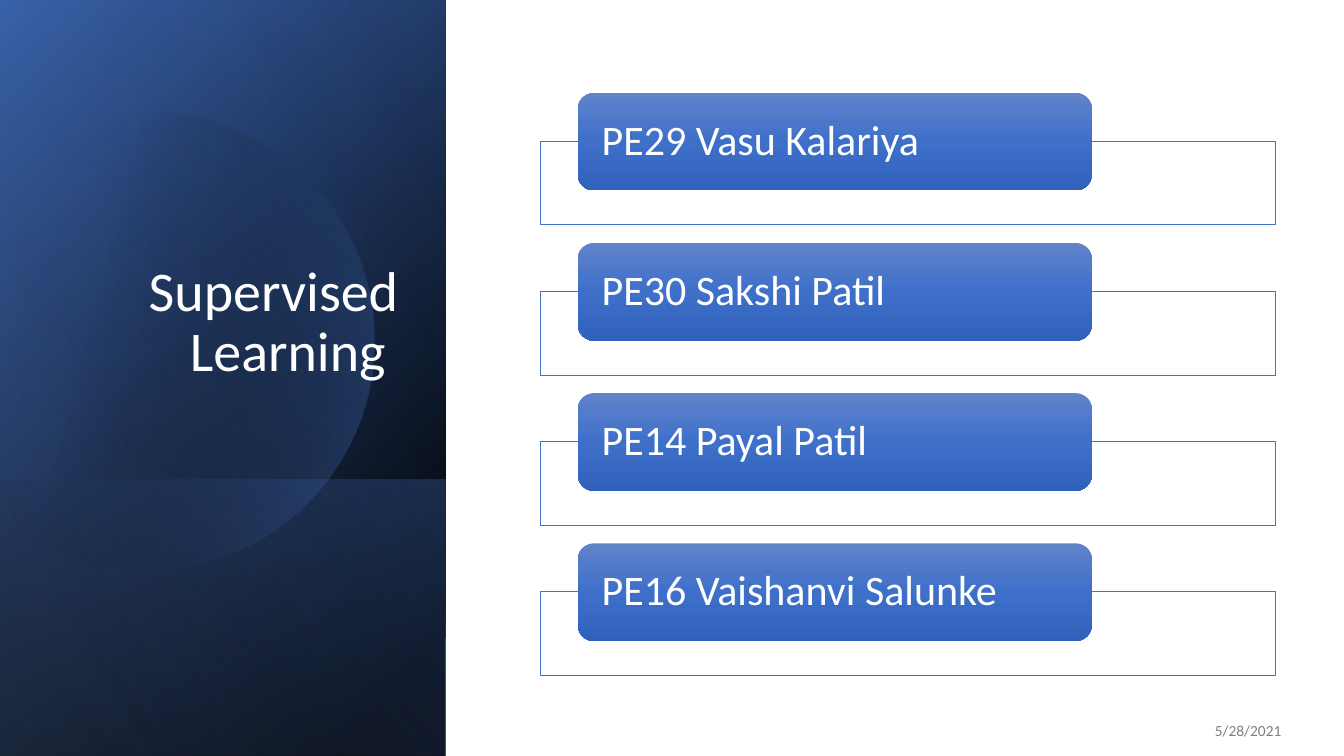
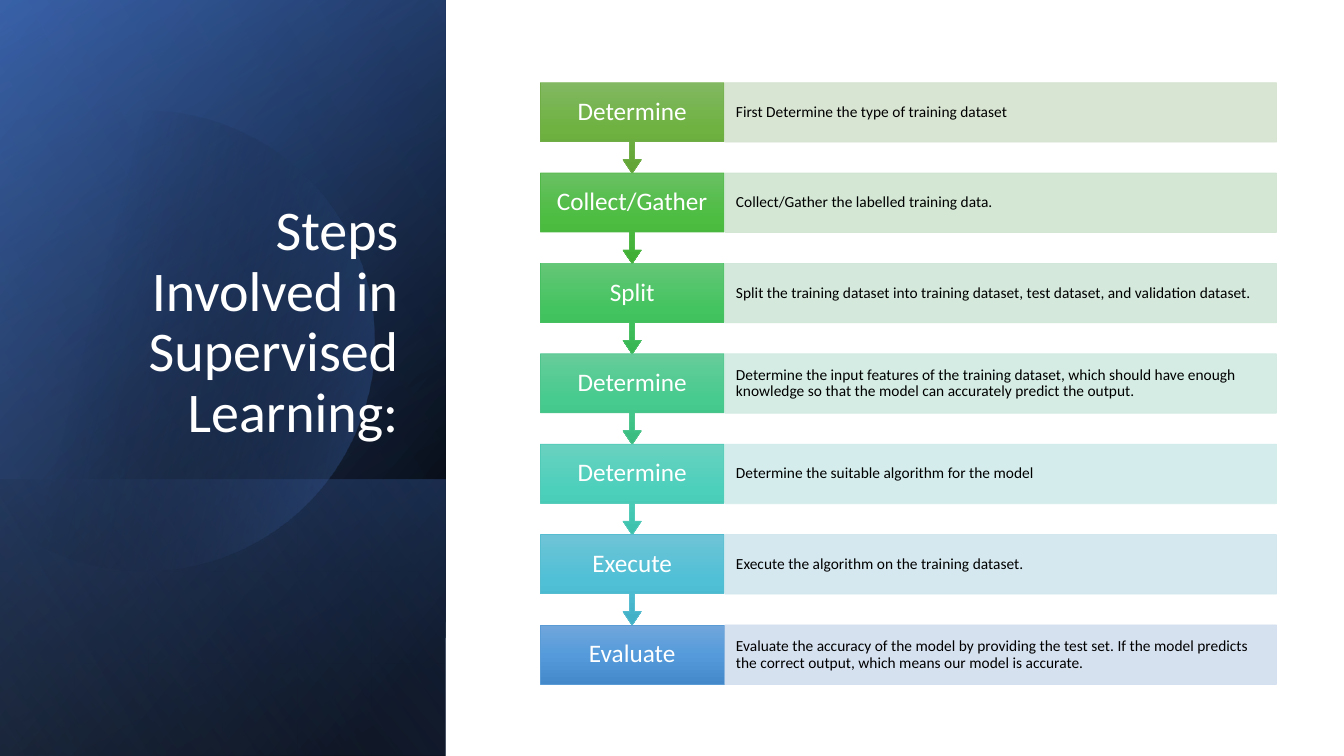
import math
from lxml import etree
from pptx import Presentation
from pptx import util as u
from pptx.dml import color
from pptx.enum import shapes, text
from pptx.oxml import ns


class Theme:
    font = "Calibri"
    black, white, grey = "000000", "FFFFFF", "808080"
    navy, blue, pale_blue = "2F5597", "4472C4", "8FAADC"
    card = ("6183CB", "3E70CA", "3062BB")
    title_size, name_size, step_size, small_size = 40, 30, 18, 11


def paint(shape, stops, angle=90, edge=None, alpha=100):
    shape.shadow.inherit = False
    if len(stops) == 1:
        shape.fill.solid()
        shape.fill.fore_color.rgb = color.RGBColor.from_string(stops[0][1])
    else:
        shape.fill.gradient()
        shape.fill.gradient_angle = 360 - angle
        stop_list = shape.element.spPr.find(".//" + ns.qn("a:gsLst"))
        stop_list[:] = []
        for position, shade, opacity in stops:
            stop = etree.SubElement(stop_list, ns.qn("a:gs"), pos=str(position * 1000))
            tint = etree.SubElement(stop, ns.qn("a:srgbClr"), val=shade)
            if opacity < 100:
                etree.SubElement(tint, ns.qn("a:alpha"), val=str(opacity * 1000))
    if edge:
        shape.line.color.rgb = color.RGBColor.from_string(edge)
        shape.line.width = u.Pt(0.5)
    else:
        shape.line.fill.background()
    if alpha < 100:
        for tint in shape.element.spPr.iter(ns.qn("a:srgbClr")):
            etree.SubElement(tint, ns.qn("a:alpha"), val=str(alpha * 1000))


def write(shape, words, size, shade, align="LEFT", anchor="MIDDLE", inset=0.1, below=0):
    frame = shape.text_frame
    frame.word_wrap = True
    frame.auto_size = text.MSO_AUTO_SIZE.NONE
    frame.vertical_anchor = text.MSO_ANCHOR[anchor]
    frame.margin_left = frame.margin_right = u.Inches(inset)
    frame.margin_top, frame.margin_bottom = 0, u.Inches(below)
    paragraph = frame.paragraphs[0]
    paragraph.alignment = text.PP_ALIGN[align]
    paragraph.line_spacing = 0.9
    run = paragraph.add_run()
    run.text = words
    run.font.name = Theme.font
    run.font.size = u.Pt(size)
    run.font.color.rgb = color.RGBColor.from_string(shade)


deck = Presentation()
deck.slide_width, deck.slide_height = u.Inches(13.33), u.Inches(7.5)

BAND_WIDTH, SLIDE_HEIGHT = 4.42, 7.5
base_layers = [
    (SLIDE_HEIGHT, 50, [(8, Theme.black, 100), (100, Theme.navy, 100)]),
    (SLIDE_HEIGHT, 30, [(0, Theme.black, 0), (99, Theme.blue, 46)]),
    (2.74, 130, [(2, Theme.blue, 29), (100, Theme.black, 30)]),
]
sheen = (SLIDE_HEIGHT, 120, [(0, Theme.black, 0), (99, Theme.pale_blue, 11)])
disc_x, disc_y, disc_radius, disc_sweep, disc_parts = 1.43, 3.38, 2.28, 128.8, 80
disc_edge = []
for part in range(disc_parts + 1):
    turn = math.radians(disc_sweep * (2 * part / disc_parts - 1))
    disc_edge.append((u.Inches(disc_x + disc_radius * math.cos(turn)),
                      u.Inches(disc_y + disc_radius * math.sin(turn))))

slides = []
for heading, below in [("Supervised Learning\u00a0", 0.65),
                       ("Steps Involved in Supervised Learning:", 0.05)]:
    slide = deck.slides.add_slide(deck.slide_layouts[5])
    slides.append(slide)
    for layer in base_layers + ["disc", sheen]:
        if layer == "disc":
            outline = slide.shapes.build_freeform(*disc_edge[0])
            outline.add_line_segments(disc_edge[1:])
            paint(outline.convert_to_shape(), [(29, Theme.black, 0), (100, Theme.blue, 43)], 14)
            continue
        length, angle, stops = layer
        band = slide.shapes.add_shape(
            shapes.MSO_SHAPE.RECTANGLE,
            u.Inches((BAND_WIDTH - length) / 2),
            u.Inches(SLIDE_HEIGHT - (length + BAND_WIDTH) / 2),
            u.Inches(length), u.Inches(BAND_WIDTH))
        band.rotation = 90
        band.element.spPr.xfrm.set("flipH", "1")
        paint(band, stops, angle)
    title = slide.shapes.title
    title.left, title.top = u.Inches(0.64), u.Inches(1.84)
    title.width, title.height = u.Inches(3.41), u.Inches(2.62)
    slide.shapes._spTree.append(title.element)
    write(title, heading, Theme.title_size, Theme.white, "RIGHT", "BOTTOM", below=below)

team, process = slides

date = team.shapes.add_textbox(u.Inches(9.81), u.Inches(7.06), u.Inches(3), u.Inches(0.4))
write(date, "5/28/2021", Theme.small_size, Theme.grey, "RIGHT")

members = ["PE29 Vasu Kalariya", "PE30 Sakshi Patil", "PE14 Payal Patil", "PE16 Vaishanvi Salunke"]
for row, member in enumerate(members):
    drop = 1.49 * row
    frame = team.shapes.add_shape(shapes.MSO_SHAPE.RECTANGLE, u.Inches(5.36), u.Inches(1.4 + drop),
                                  u.Inches(7.29), u.Inches(0.83))
    paint(frame, [(0, Theme.white, 100)], edge=Theme.blue)
    card = team.shapes.add_shape(shapes.MSO_SHAPE.ROUNDED_RECTANGLE, u.Inches(5.73),
                                 u.Inches(0.92 + drop), u.Inches(5.1), u.Inches(0.97))
    paint(card, [(50 * i, shade, 100) for i, shade in enumerate(Theme.card)])
    write(card, member, Theme.name_size, Theme.white, inset=0.19)

steps = [
    ("Determine", "First Determine the type of training dataset",
     ("81B861", "6FB242", "62A336"), "70AD47", "D5E3CF"),
    ("Collect/Gather", "Collect/Gather the labelled training data.",
     ("69C062", "4CBD41", "3FAD34"), "50B846", "CFE5D0"),
    ("Split", "Split the training dataset into training dataset, test dataset, and validation dataset.",
     ("64C677", "44C460", "36B552"), "49BF64", "D0E7D8"),
    ("Determine", "Determine the input features of the training dataset, which should have enough "
     "knowledge so that the model can accurately predict the output.",
     ("67CC9A", "47CB8E", "39BB7F"), "4DC58D", "D0EAE1"),
    ("Determine", "Determine the suitable algorithm for the model",
     ("6AD1C0", "4CD0BC", "3CC0AC"), "52CAB8", "D0ECEA"),
    ("Execute", "Execute the algorithm on the training dataset.",
     ("6EC4D6", "50C0D6", "40AFC5"), "56BCD0", "D1E6EE"),
    ("Evaluate", "Evaluate the accuracy of the model by providing the test set. If the model predicts "
     "the correct output, which means our model is accurate.",
     ("71A6DB", "559BDB", "448ACA"), "5B9BD5", "D2DEEF"),
]
for row, (action, detail, shades, edge, pale) in enumerate(steps):
    top = u.Inches(0.82 + 5.38 * row / (len(steps) - 1))
    last = row == len(steps) - 1
    kind = shapes.MSO_SHAPE.RECTANGLE if last else shapes.MSO_SHAPE.DOWN_ARROW_CALLOUT
    step = process.shapes.add_shape(kind, u.Inches(5.36), top, u.Inches(1.82),
                                    u.Inches(0.59 if last else 0.9))
    if not last:
        for i, share in enumerate((0.05, 0.1, 0.15, 0.65)):
            step.adjustments[i] = share
    paint(step, [(50 * i, shade, 100) for i, shade in enumerate(shades)], edge=edge)
    write(step, action, Theme.step_size, Theme.white, "CENTER", inset=0.13)
    strip = process.shapes.add_shape(shapes.MSO_SHAPE.RECTANGLE, u.Inches(7.19), top,
                                     u.Inches(5.47), u.Inches(0.59))
    paint(strip, [(0, pale, 100)], edge=pale, alpha=90)
    write(strip, detail, Theme.small_size, Theme.black, inset=0.11)

deck.save("out.pptx")
